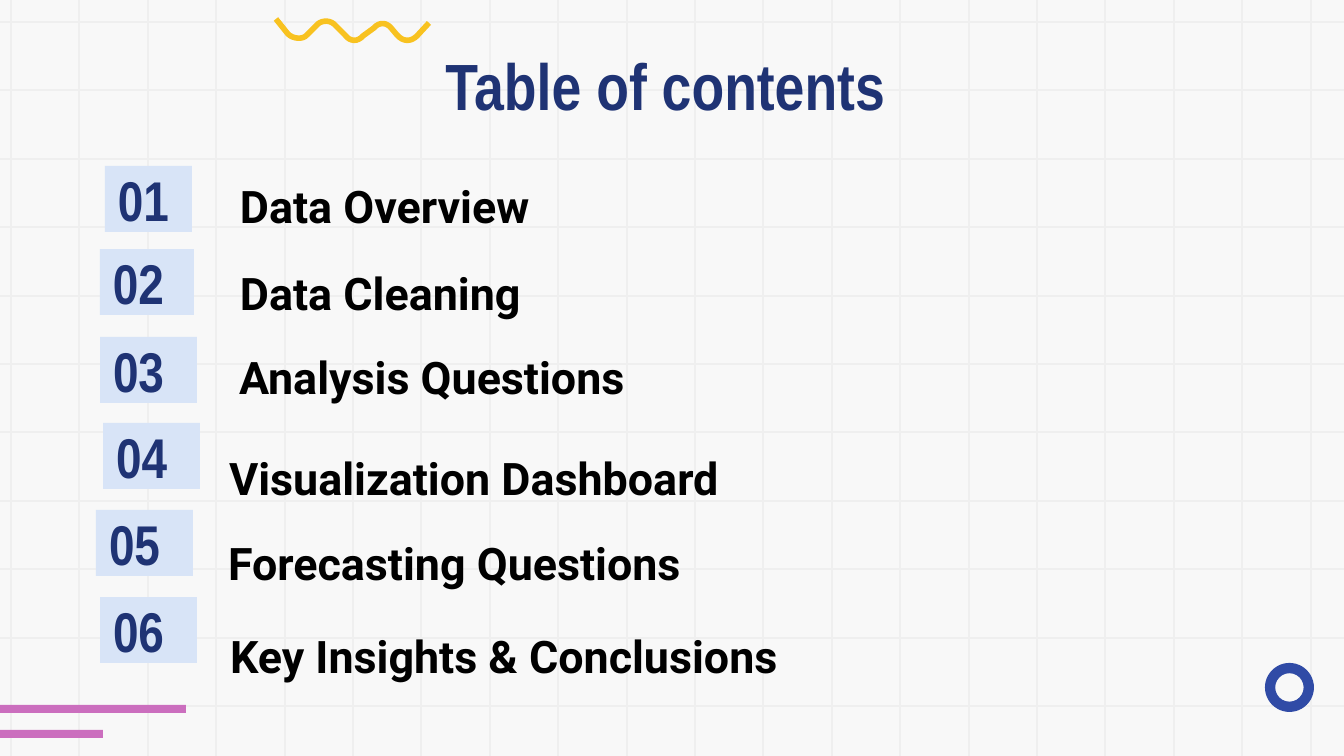
from lxml.etree import SubElement
from pptx import Presentation
from pptx.dml.color import RGBColor
from pptx.enum.shapes import MSO_CONNECTOR, MSO_SHAPE
from pptx.enum.text import MSO_ANCHOR, PP_ALIGN
from pptx.oxml.ns import qn
from pptx.util import Emu, Pt

WIDTH, HEIGHT = 1344, 756
INSET = 13
GRID_PITCH = 68.4

PAPER = RGBColor(0xF8, 0xF8, 0xF8)
GRID = RGBColor(0xEF, 0xEF, 0xEF)
NAVY = RGBColor(0x1F, 0x33, 0x74)
BLUE = RGBColor(0x30, 0x4B, 0xA6)
PALE_BLUE = RGBColor(0xD8, 0xE4, 0xF7)
PINK = RGBColor(0xCB, 0x6E, 0xBE)
YELLOW = RGBColor(0xF8, 0xC2, 0x20)
BLACK = RGBColor(0, 0, 0)

# Badge left, top, width; then label, its left, top, width
ENTRIES = [
    (105, 166, 87, "Data Overview", 227, 173, 425),
    (100, 249, 94, "Data Cleaning", 227, 260, 425),
    (100, 337, 97, "Analysis Questions", 226, 344, 428),
    (103, 423, 97, "Visualization Dashboard", 216, 445, 531),
    (96, 510, 97, "Forecasting Questions", 215, 530, 479),
    (100, 597, 97, "Key Insights & Conclusions", 217, 623, 884),
]
ROW_HEIGHT = 66

# Each bend of the wave: start, two control points, end
WAVE_START, WAVE_END = (276, 19), (429, 23)
WAVE_BENDS = [
    ((288, 34), (293, 39), (303, 40), (307, 35)),
    ((318, 24), (323, 20), (331, 20), (336, 26)),
    ((345, 35), (350, 42), (358, 42), (363, 36)),
    ((374, 28), (379, 22), (387, 22), (392, 29)),
    ((397, 35), (403, 42), (411, 42), (417, 36)),
]


def px(length):
    return Emu(round(length * 914400 / 134.4))


def add_grid_line(slide, x1, y1, x2, y2):
    line = slide.shapes.add_connector(
        MSO_CONNECTOR.STRAIGHT, px(x1), px(y1), px(x2), px(y2))
    line.line.color.rgb = GRID
    line.line.width = Pt(0.75)
    SubElement(line._element.spPr, qn("a:effectLst"))


def add_grid(slide):
    for row in range(11):
        y = round(22 + row * GRID_PITCH)
        add_grid_line(slide, 0, y, WIDTH, y)
    for column in range(20):
        x = round(11 + column * GRID_PITCH)
        add_grid_line(slide, x, 0, x, HEIGHT)


def add_filled(slide, kind, left, top, width, height, color):
    shape = slide.shapes.add_shape(kind, px(left), px(top), px(width), px(height))
    shape.shadow.inherit = False
    shape.fill.solid()
    shape.fill.fore_color.rgb = color
    shape.line.fill.background()
    return shape


def bezier_points(start, control1, control2, end, steps=8):
    for step in range(steps + 1):
        t = step / steps
        weights = ((1 - t) ** 3, 3 * t * (1 - t) ** 2, 3 * t * t * (1 - t), t ** 3)
        yield tuple(sum(w * c for w, c in zip(weights, axis))
                    for axis in zip(start, control1, control2, end))


def add_wave(slide):
    points = [point for bend in WAVE_BENDS for point in bezier_points(*bend)]
    builder = slide.shapes.build_freeform(*map(px, WAVE_START))
    builder.add_line_segments(
        [(px(x), px(y)) for x, y in points + [WAVE_END]], close=False)
    wave = builder.convert_to_shape()
    wave.shadow.inherit = False
    wave.fill.background()
    wave.line.color.rgb = YELLOW
    wave.line.width = Pt(3)


def write(shape, text, font_name, size, color,
          align=PP_ALIGN.LEFT, anchor=MSO_ANCHOR.MIDDLE):
    frame = shape.text_frame
    frame.word_wrap = True
    frame.vertical_anchor = anchor
    frame.margin_left = frame.margin_right = px(INSET)
    frame.margin_top = frame.margin_bottom = px(INSET)
    paragraph = frame.paragraphs[0]
    paragraph.text = text
    paragraph.alignment = align
    font = paragraph.font
    font.name, font.size, font.bold = font_name, Pt(size), True
    font.color.rgb = color


def add_label(slide, left, top, width, height, *text_style, **placing):
    label = slide.shapes.add_textbox(px(left), px(top), px(width), px(height))
    write(label, *text_style, **placing)


def add_decorations(slide):
    for top, width in ((705, 186), (730, 103)):
        add_filled(slide, MSO_SHAPE.RECTANGLE, 0, top, width, 8, PINK)
    ring = add_filled(slide, MSO_SHAPE.DONUT, 1265, 663, 49, 49, BLUE)
    ring.adjustments[0] = 0.21
    add_wave(slide)


def add_contents(slide):
    for number, entry in enumerate(ENTRIES, start=1):
        left, top, width, topic, topic_left, topic_top, topic_width = entry
        badge = add_filled(slide, MSO_SHAPE.RECTANGLE,
                           left, top, width, ROW_HEIGHT, PALE_BLUE)
        write(badge, f"{number:02}", "Arial Narrow", 30, NAVY)
        add_label(slide, topic_left, topic_top, topic_width, ROW_HEIGHT,
                  topic, "Roboto", 24, BLACK)


def main():
    presentation = Presentation()
    presentation.slide_width, presentation.slide_height = px(WIDTH), px(HEIGHT)
    slide = presentation.slides.add_slide(presentation.slide_layouts[6])
    slide.background.fill.solid()
    slide.background.fill.fore_color.rgb = PAPER
    add_grid(slide)
    add_decorations(slide)
    add_label(slide, 99, 32, 1133, 85, "Table of contents", "Arial Narrow", 35,
              NAVY, align=PP_ALIGN.CENTER, anchor=MSO_ANCHOR.TOP)
    add_contents(slide)
    presentation.save("out.pptx")


if __name__ == "__main__":
    main()
